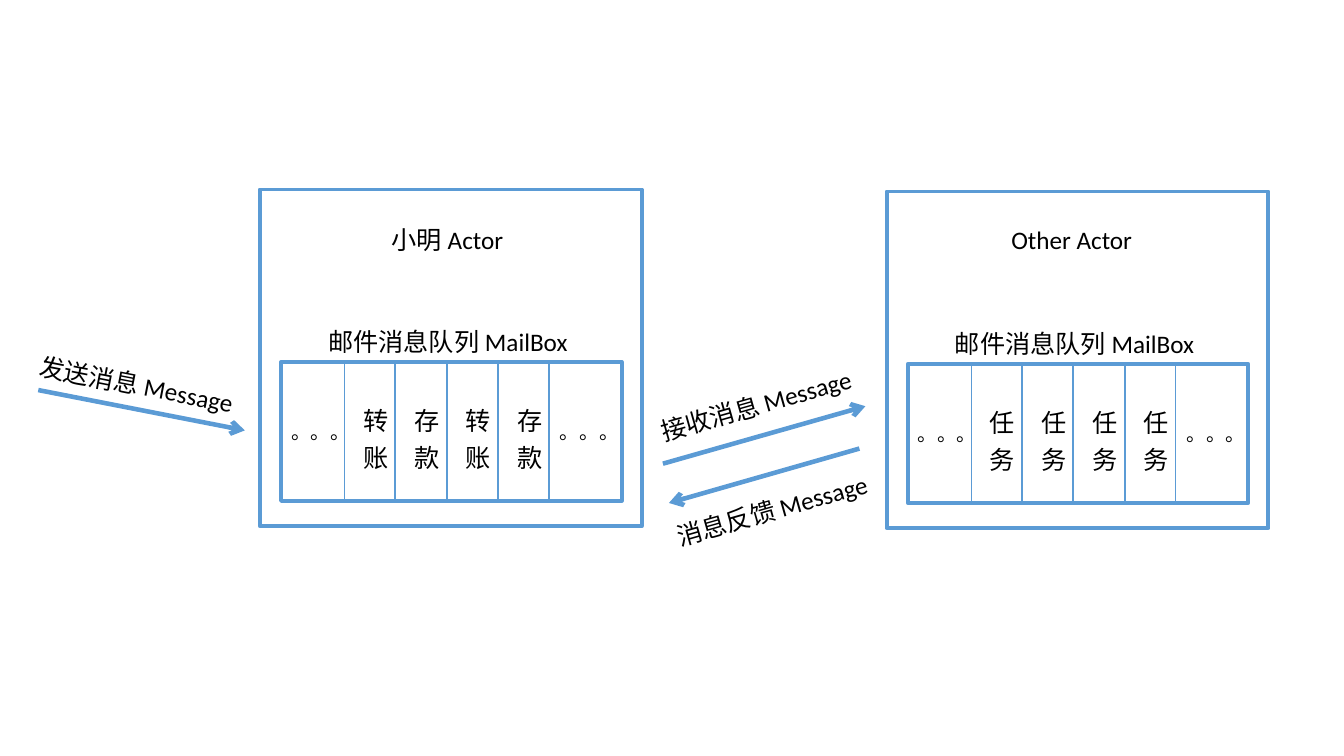
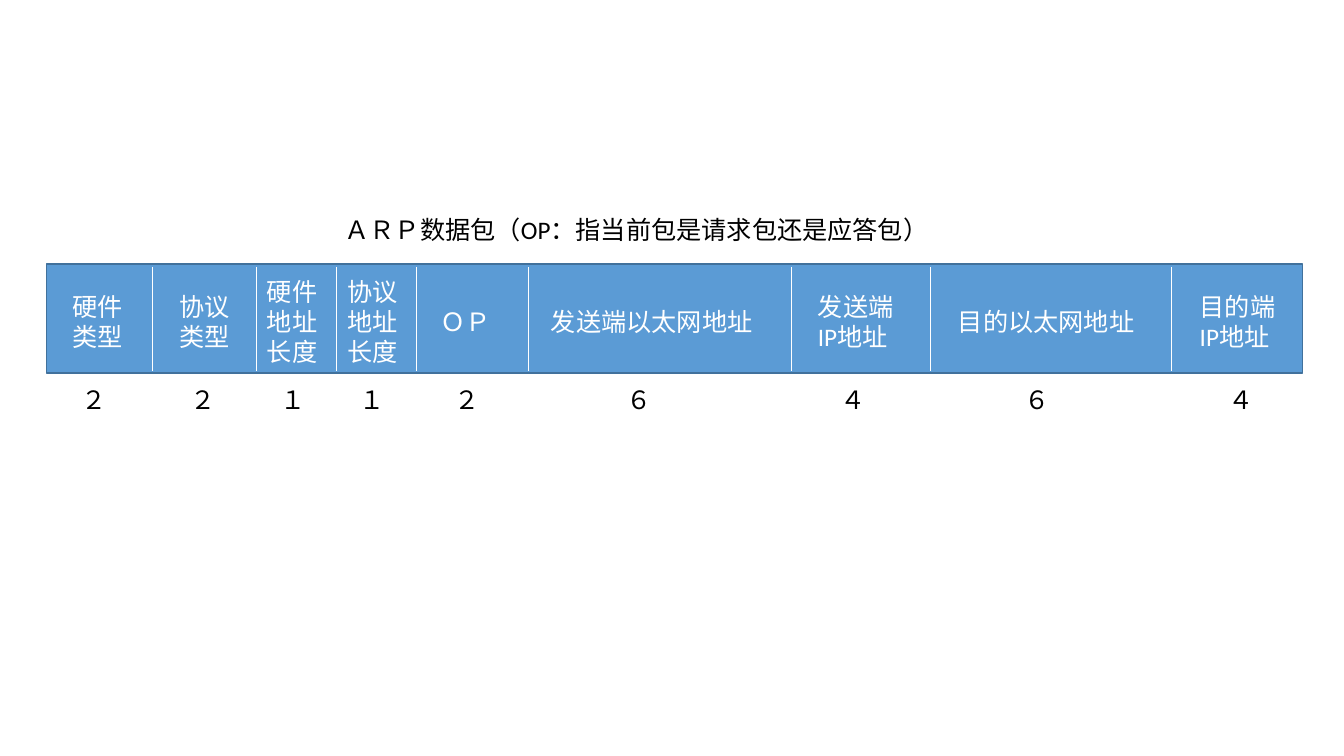
from dataclasses import dataclass

import pptx
import pptx.dml.color
import pptx.enum.shapes
import pptx.enum.text
import pptx.oxml.xmlchemy
import pptx.util

PX = 9144  # one hundredth of an inch
SLIDE_SIZE = (1334, 750)


@dataclass(frozen=True)
class Theme:
    font: str = "Calibri"
    blue: str = "5B9BD5"
    dark_blue: str = "41719C"
    white: str = "FFFFFF"
    black: str = "000000"
    body_size: int = 18
    dots_size: int = 14
    frame_line: float = 2.75
    cell_line: float = 0.75
    arrow_line: float = 3.25
    bar_line: float = 1
    divider_line: float = 0.5


THEME = Theme()

# Actor slide: name, left, top, offset and width of the name, queued tasks
ACTORS = [
    ("小明 Actor", 258, 188, 121, 137, ["转账", "存款", "转账", "存款"]),
    ("Other Actor", 880, 190, 114, 140, ["任务"] * 4),
]
ACTOR_SIZE = (379, 334)
MAILBOX_SIZE = (338, 138)
MAILBOX_OFFSET = (21, 171)
MAILBOX_NAME = "邮件消息队列 MailBox"
TASK_WIDTH, TASK_PITCH, FIRST_TASK = 50, 51, 63
DOTS_OFFSETS = (0, 267)

# Text, text left and top, rotation, arrow start, arrow end
MESSAGES = [
    ("发送消息 Message", (28, 362), 11, (38, 387), (243, 427)),
    ("接收消息 Message", (643, 381), 344, (658, 460), (859, 403)),
    ("消息反馈 Message", (659, 485), 344, (853, 445), (664, 499)),
]

# Packet slide: label lines, label left and width, byte count, its left, field end
PACKET_TITLE = "ＡＲＰ数据包（OP：指当前包是请求包还是应答包）"
FIELDS = [
    ("硬件\n类型", 62, 78, "２", 71, 151),
    ("协议\n类型", 168, 78, "２", 179, 254),
    ("硬件\n地址\n长度", 255, 78, "１", 269, 334),
    ("协议\n地址\n长度", 335, 78, "１", 347, 413),
    ("ＯＰ", 427, 78, "２", 441, 524),
    ("发送端以太网地址", 537, 248, "６", 612, 785),
    ("发送端\nIP地址", 802, 108, "４", 824, 923),
    ("目的以太网地址", 941, 222, "６", 1007, 1163),
    ("目的端\nIP地址", 1181, 108, "４", 1210, 1293),
]
BAR_LEFT, BAR_TOP, BAR_HEIGHT = 46, 262, 108
COUNT_TOP = 376


def emu(*lengths):
    return [pptx.util.Emu(length * PX) for length in lengths]


def rgb(value):
    return pptx.dml.color.RGBColor.from_string(value)


def write(shape, text, color=THEME.black, size=THEME.body_size):
    frame = shape.text_frame
    frame.text = text
    for paragraph in frame.paragraphs:
        paragraph.alignment = pptx.enum.text.PP_ALIGN.LEFT
        for run in paragraph.runs:
            run.font.name = THEME.font
            run.font.size = pptx.util.Pt(size)
            run.font.color.rgb = rgb(color)
    return frame


def add_text(slide, text, left, top, width, height=40, wrap=False, **style):
    box = slide.shapes.add_textbox(*emu(left, top, width, height))
    write(box, text, **style).word_wrap = wrap
    return box


def add_box(slide, left, top, width, height, line, weight, fill=None):
    box = slide.shapes.add_shape(
        pptx.enum.shapes.MSO_SHAPE.RECTANGLE, *emu(left, top, width, height))
    box.shadow.inherit = False
    if fill:
        box.fill.solid()
        box.fill.fore_color.rgb = rgb(fill)
    else:
        box.fill.background()
    box.line.color.rgb = rgb(line)
    box.line.width = pptx.util.Pt(weight)
    return box


def add_line(slide, start, end, color, weight, arrow=False):
    connector = slide.shapes.add_connector(
        pptx.enum.shapes.MSO_CONNECTOR.STRAIGHT, *emu(*start, *end))
    connector.line.color.rgb = rgb(color)
    connector.line.width = pptx.util.Pt(weight)
    properties = connector._element.spPr
    if arrow:
        tail = pptx.oxml.xmlchemy.OxmlElement("a:tailEnd")
        tail.set("type", "arrow")
        properties.get_or_add_ln().append(tail)
    properties.append(pptx.oxml.xmlchemy.OxmlElement("a:effectLst"))


def add_task(slide, text, left, top):
    """Draw one queue cell whose characters run spaced out from top to bottom."""
    cell = add_box(slide, left, top, TASK_WIDTH, MAILBOX_SIZE[1],
                   THEME.blue, THEME.cell_line)
    frame = write(cell, text)
    frame.vertical_anchor = pptx.enum.text.MSO_ANCHOR.TOP
    frame.margin_left, frame.margin_right = emu(5, 5)
    frame.margin_top, frame.margin_bottom = emu(10, 10)
    frame._txBody.bodyPr.set("vert", "eaVert")
    paragraph = frame.paragraphs[0]
    paragraph._p.get_or_add_pPr().set("marL", str(36 * PX))
    paragraph.runs[0]._r.get_or_add_rPr().set("spc", "850")


def add_actor(slide, name, left, top, name_offset, name_width, tasks):
    add_box(slide, left, top, *ACTOR_SIZE, THEME.blue, THEME.frame_line, THEME.white)
    add_text(slide, name, left + name_offset, 218, name_width)
    mailbox_left, mailbox_top = left + MAILBOX_OFFSET[0], top + MAILBOX_OFFSET[1]
    add_box(slide, mailbox_left, mailbox_top, *MAILBOX_SIZE,
            THEME.blue, THEME.frame_line, THEME.white)
    add_text(slide, MAILBOX_NAME, mailbox_left + 37, mailbox_top - 40, 264)
    for index, task in enumerate(tasks):
        add_task(slide, task, mailbox_left + FIRST_TASK + index * TASK_PITCH, mailbox_top)
    for offset in DOTS_OFFSETS:
        add_text(slide, "。。。", mailbox_left + offset, mailbox_top + 53, 81, 34,
                 wrap=True, size=THEME.dots_size)


def build_actor_slide(presentation):
    slide = presentation.slides.add_slide(presentation.slide_layouts[6])
    for actor in ACTORS:
        add_actor(slide, *actor)
    for text, position, rotation, start, end in MESSAGES:
        add_line(slide, start, end, THEME.blue, THEME.arrow_line, arrow=True)
        add_text(slide, text, *position, 221).rotation = rotation


def build_packet_slide(presentation):
    slide = presentation.slides.add_slide(presentation.slide_layouts[5])
    title = slide.shapes.title
    title.left, title.top, title.width, title.height = emu(332, 208, 811, 40)
    frame = write(title, PACKET_TITLE)
    frame.vertical_anchor = pptx.enum.text.MSO_ANCHOR.TOP
    frame.auto_size = pptx.enum.text.MSO_AUTO_SIZE.NONE

    bar_right = FIELDS[-1][-1]
    add_box(slide, BAR_LEFT, BAR_TOP, bar_right - BAR_LEFT, BAR_HEIGHT,
            THEME.dark_blue, THEME.bar_line, THEME.blue)
    for label, label_left, label_width, count, count_left, end in FIELDS:
        box = add_text(slide, label, label_left, BAR_TOP + 4, label_width,
                       BAR_HEIGHT - 2, wrap=True, color=THEME.white)
        box.text_frame.vertical_anchor = pptx.enum.text.MSO_ANCHOR.MIDDLE
        add_text(slide, count, count_left, COUNT_TOP, 50, wrap=True)
        if end < bar_right:
            add_line(slide, (end, BAR_TOP + 3), (end, BAR_TOP + BAR_HEIGHT - 2),
                     THEME.white, THEME.divider_line)


def main():
    presentation = pptx.Presentation()
    presentation.slide_width, presentation.slide_height = emu(*SLIDE_SIZE)
    build_actor_slide(presentation)
    build_packet_slide(presentation)
    presentation.save("out.pptx")


if __name__ == "__main__":
    main()
